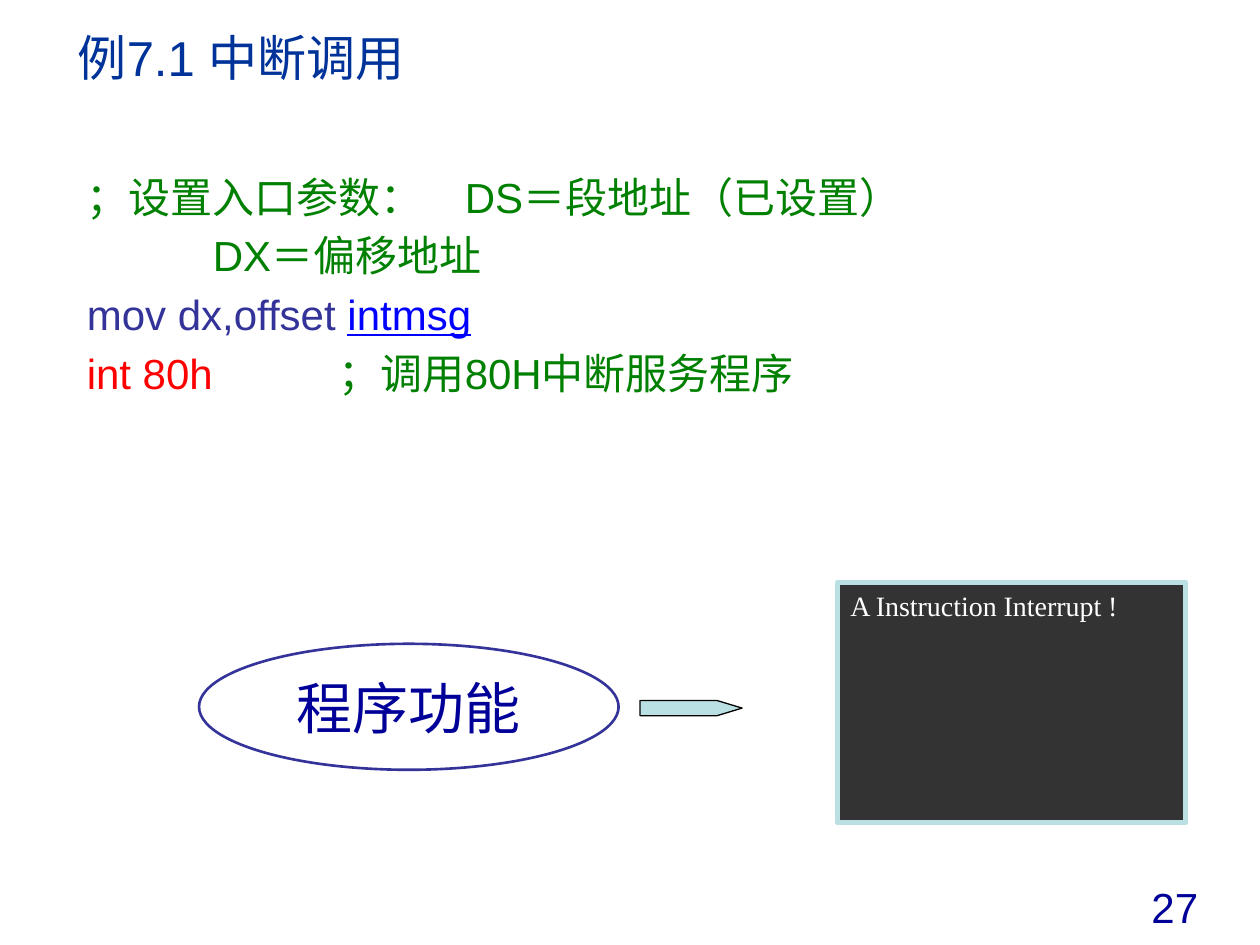
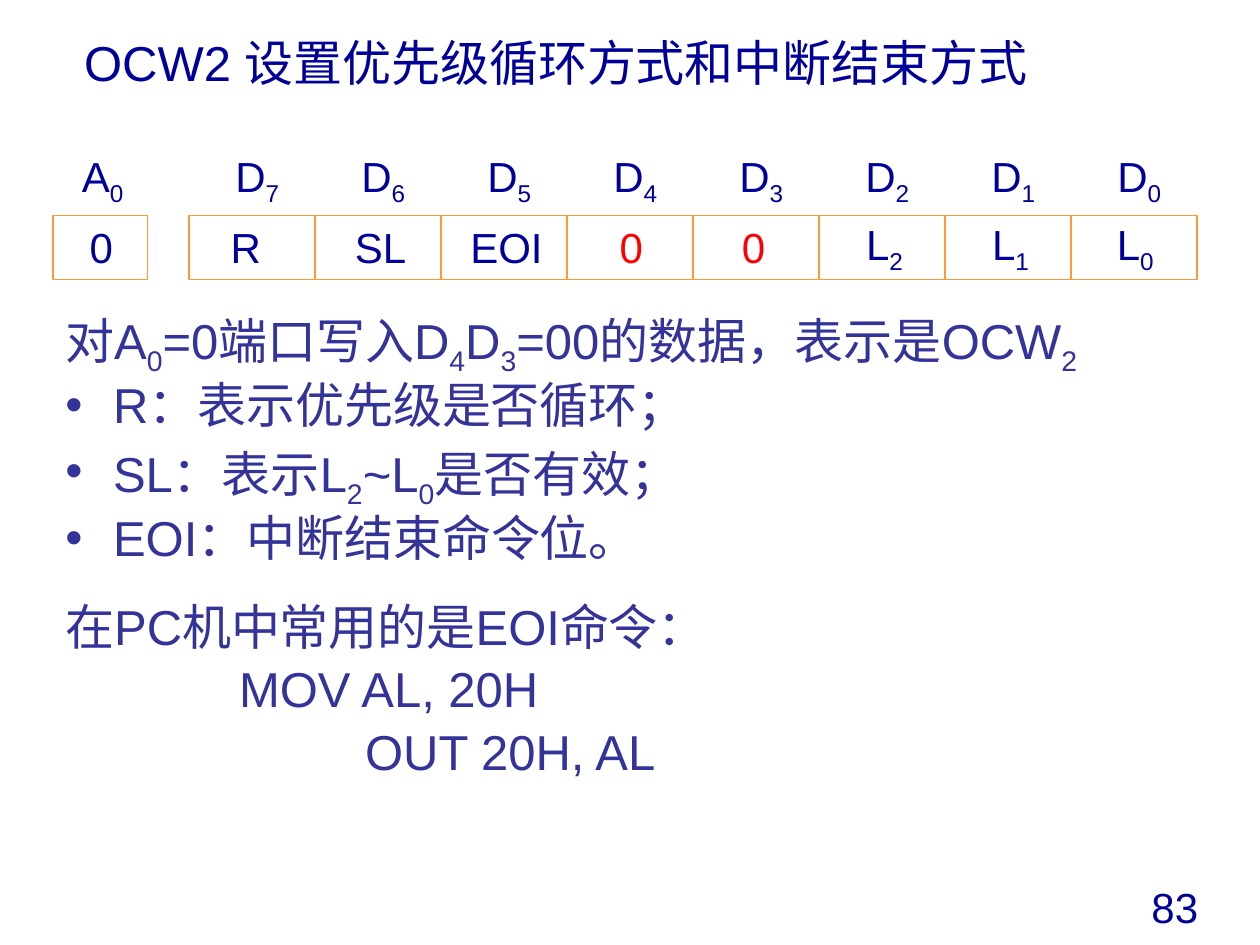
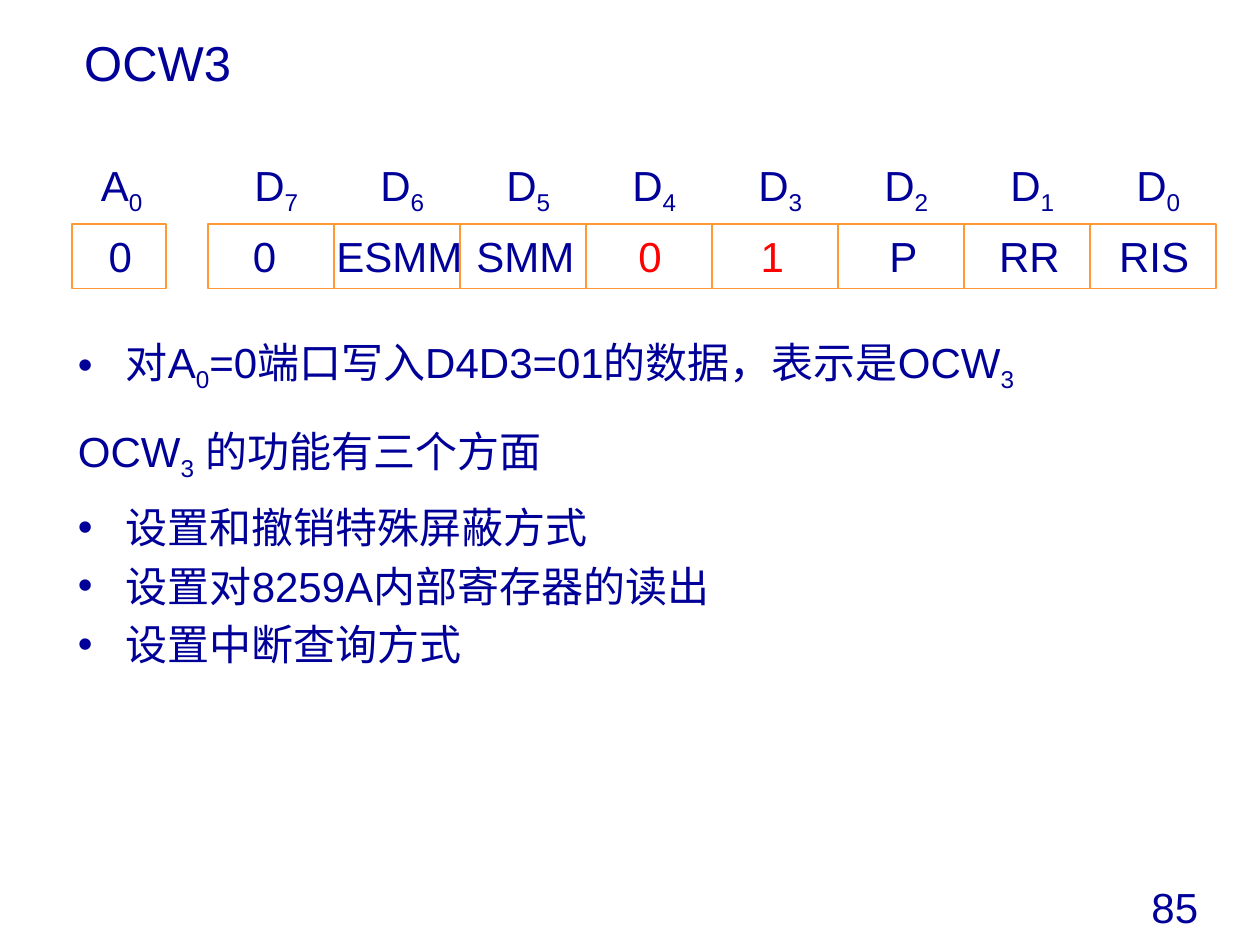
from dataclasses import dataclass
from typing import Any, Optional

from lxml import etree
from pptx import Presentation
from pptx.dml import color as dml
from pptx.enum import shapes, text
from pptx.oxml import ns
from pptx.util import Inches, Pt

SANS = "Arial"
NAVY = "000099"
INDIGO = "333399"
GREEN = "008000"
RED = "FF0000"
ORANGE = "FF9933"
PALE = "BBE0E3"
KIND = shapes.MSO_SHAPE
MID = text.MSO_ANCHOR.MIDDLE
TOP = text.MSO_ANCHOR.TOP
CENTER = text.PP_ALIGN.CENTER
LEFT = text.PP_ALIGN.LEFT


@dataclass
class Style:
    size: float = 24
    color: str = NAVY
    font: str = SANS


@dataclass
class Box:
    left: float
    top: float
    width: float
    height: float

    def inches(self) -> tuple:
        return tuple(Inches(n) for n in (self.left, self.top, self.width, self.height))


@dataclass
class Span:
    text: str
    color: Optional[str] = None
    line: bool = False


@dataclass
class Para:
    spans: list
    bullet: bool = False
    indent: float = 0
    before: float = 4.8
    after: float = 0


@dataclass
class Bit:
    text: str
    width: float


BIT_MIDS = (0.45, 1.52, 2.52, 3.51, 4.48, 5.52, 6.52, 7.51)
FIXED_BITS = (3, 4)


def rgb(code: str) -> dml.RGBColor:
    return dml.RGBColor.from_string(code)


def child(node: Any, tag: str, **attrs: str) -> Any:
    item = etree.SubElement(node, ns.qn(tag))
    for key, value in attrs.items():
        item.set(key, value)
    return item


def add_run(para: Any, words: str, style: Style, span: Span, sub: bool = False) -> None:
    if not words:
        return
    run = para.add_run()
    run.text = words
    run.font.size = Pt(style.size)
    run.font.name = style.font
    run.font.color.rgb = rgb(span.color or style.color)
    if span.line:
        run.font.underline = True
    props = run._r.get_or_add_rPr()
    child(props, "a:ea", typeface=style.font)
    if sub:
        props.set("baseline", "-25000")


def add_span(para: Any, span: Span, style: Style) -> None:
    first, *rest = span.text.split("_")
    add_run(para, first, style, span)
    for part in rest:
        add_run(para, part[0], style, span, True)
        add_run(para, part[1:], style, span)


def add_tabs(para: Any, count: int) -> None:
    tabs = child(para._p.get_or_add_pPr(), "a:tabLst")
    for stop in range(1, count + 1):
        child(tabs, "a:tab", pos=str(Inches(stop)), algn="l")


def write(shape: Any, words: str, style: Style, align: Any = LEFT,
          anchor: Any = MID, wrap: bool = True) -> Any:
    frame = shape.text_frame
    frame.word_wrap = wrap
    frame.vertical_anchor = anchor
    if not wrap:
        frame.margin_left = frame.margin_right = 0
    para = frame.paragraphs[0]
    para.alignment = align
    add_span(para, Span(words), style)
    return para


def label(slide: Any, box: Box, words: str, style: Style, **layout: Any) -> Any:
    return write(slide.shapes.add_textbox(*box.inches()), words, style, **layout)


def body(slide: Any, box: Box, paras: list, style: Style,
         tabs: int = 0, spacing: float = 1.0) -> None:
    frame = slide.shapes.add_textbox(*box.inches()).text_frame
    frame.word_wrap = True
    for index, item in enumerate(paras):
        para = frame.add_paragraph() if index else frame.paragraphs[0]
        if index:
            para.space_before = Pt(item.before)
        para.space_after = Pt(item.after)
        para.line_spacing = spacing
        props = para._p.get_or_add_pPr()
        if item.bullet:
            props.set("marL", str(Inches(0.38)))
            props.set("indent", str(Inches(-0.38)))
            child(props, "a:buFont", typeface=SANS)
            child(props, "a:buChar", char="•")
        elif item.indent:
            props.set("marL", str(Inches(item.indent)))
        if tabs:
            add_tabs(para, tabs)
        for span in item.spans:
            add_span(para, span, style)


def draw(slide: Any, kind: Any, box: Box, fill: Optional[str],
         line: str, width: float) -> Any:
    shape = slide.shapes.add_shape(kind, *box.inches())
    shape.shadow.inherit = False
    if fill:
        shape.fill.solid()
        shape.fill.fore_color.rgb = rgb(fill)
    else:
        shape.fill.background()
    shape.line.color.rgb = rgb(line)
    shape.line.width = Pt(width)
    return shape


def start(deck: Any, title: str, box: Box, page: int, color: str = NAVY) -> Any:
    slide = deck.slides.add_slide(deck.slide_layouts[6])
    label(slide, Box(9.04, 6.95, 0.89, 0.5), str(page), Style(), anchor=TOP)
    label(slide, box, title, Style(28, color))
    return slide


def table_row(slide: Any, left: float, top: float, bits: list) -> None:
    row = top + 0.54
    first = left + 1.08
    plain = Style()
    draw(slide, KIND.RECTANGLE, Box(left, row, 0.75, 0.51), None, ORANGE, 1)
    for name, shift, y, width in (("A_0", 0.12, top, 0.55), ("0", 0.19, row, 0.39)):
        label(slide, Box(left + shift, y, width, 0.5), name, plain,
              align=CENTER, wrap=False)
    heads = "\t".join(f"D_{n}" for n in reversed(range(8)))
    para = label(slide, Box(first + 0.27, top, 7.57, 0.5), heads, plain)
    add_tabs(para, 7)
    for index in range(8):
        draw(slide, KIND.RECTANGLE, Box(first + index, row, 1, 0.51), None, ORANGE, 1)
    for index, (bit, mid) in enumerate(zip(bits, BIT_MIDS)):
        style = Style(color=RED if index in FIXED_BITS else NAVY)
        label(slide, Box(first + mid - bit.width / 2, row, bit.width, 0.5),
              bit.text, style, align=CENTER, wrap=False)


def call_slide(deck: Any) -> None:
    slide = start(deck, "例7.1 中断调用", Box(0.52, 0.15, 8.43, 0.6), 27, "003399")
    code = [
        Para([Span("；设置入口参数：\tDS＝段地址（已设置）")]),
        Para([Span("\tDX＝偏移地址")]),
        Para([Span("mov dx,offset ", INDIGO), Span("intmsg", "0000FF", True)]),
        Para([Span("int 80h\t", RED), Span("；调用80H中断服务程序")]),
    ]
    body(slide, Box(0.59, 1.31, 8.51, 2.24), code, Style(color=GREEN), tabs=3)
    screen = draw(slide, KIND.RECTANGLE, Box(6.65, 4.62, 2.76, 1.91), "333333", PALE, 3)
    write(screen, "A Instruction Interrupt !",
          Style(16, "FFFFFF", "Times New Roman"), anchor=TOP)
    arrow = draw(slide, KIND.PENTAGON, Box(5.08, 5.56, 0.81, 0.12), PALE, "000000", 0.75)
    arrow.adjustments[0] = 1.65
    oval = draw(slide, KIND.OVAL, Box(1.58, 5.11, 3.33, 1), None, INDIGO, 1.5)
    write(oval, "程序功能", Style(32, NAVY, "Noto Sans CJK SC"), CENTER, wrap=False)


def cycle_slide(deck: Any) -> None:
    slide = start(deck, "OCW2 设置优先级循环方式和中断结束方式",
                  Box(0.57, 0.21, 8.07, 0.57), 83)
    notes = [
        Para([Span("对A_0=0端口写入D_4D_3=00的数据，表示是OCW_2")]),
        Para([Span("R：表示优先级是否循环；")], True, before=5.6),
        Para([Span("SL：表示L_2~L_0是否有效；")], True, before=5.6),
        Para([Span("EOI：中断结束命令位。")], True, before=5.6),
        Para([Span("在PC机中常用的是EOI命令：")], before=20.5),
        Para([Span("MOV AL, 20H")], indent=1.38, before=5.6),
        Para([Span("OUT 20H, AL")], indent=2.38, before=5.6),
    ]
    body(slide, Box(0.42, 2.42, 9.33, 4.18), notes, Style(28, INDIGO), spacing=0.9)
    bits = [Bit("R", 0.44), Bit("SL", 0.61), Bit("EOI", 0.77), Bit("0", 0.39),
            Bit("0", 0.39)] + [Bit(f"L_{n}", 0.51) for n in (2, 1, 0)]
    table_row(slide, 0.42, 1.17, bits)


def mask_slide(deck: Any) -> None:
    slide = start(deck, "OCW3", Box(0.57, 0.21, 3.79, 0.57), 85)
    notes = [
        Para([Span("对A_0=0端口写入D4D3=01的数据，表示是OCW_3")], True),
        Para([Span("OCW_3 的功能有三个方面")], before=18, after=6),
        Para([Span("设置和撤销特殊屏蔽方式")], True),
        Para([Span("设置对8259A内部寄存器的读出")], True),
        Para([Span("设置中断查询方式")], True),
    ]
    body(slide, Box(0.52, 2.62, 8.96, 3.84), notes, Style())
    bits = [Bit("0", 0.39), Bit("ESMM", 1.2), Bit("SMM", 0.98), Bit("0", 0.39),
            Bit("1", 0.39), Bit("P", 0.42), Bit("RR", 0.68), Bit("RIS", 0.76)]
    table_row(slide, 0.57, 1.24, bits)


def main() -> None:
    deck = Presentation()
    deck.slide_width = Inches(10)
    deck.slide_height = Inches(7.5)
    call_slide(deck)
    cycle_slide(deck)
    mask_slide(deck)
    deck.save("out.pptx")


if __name__ == "__main__":
    main()
